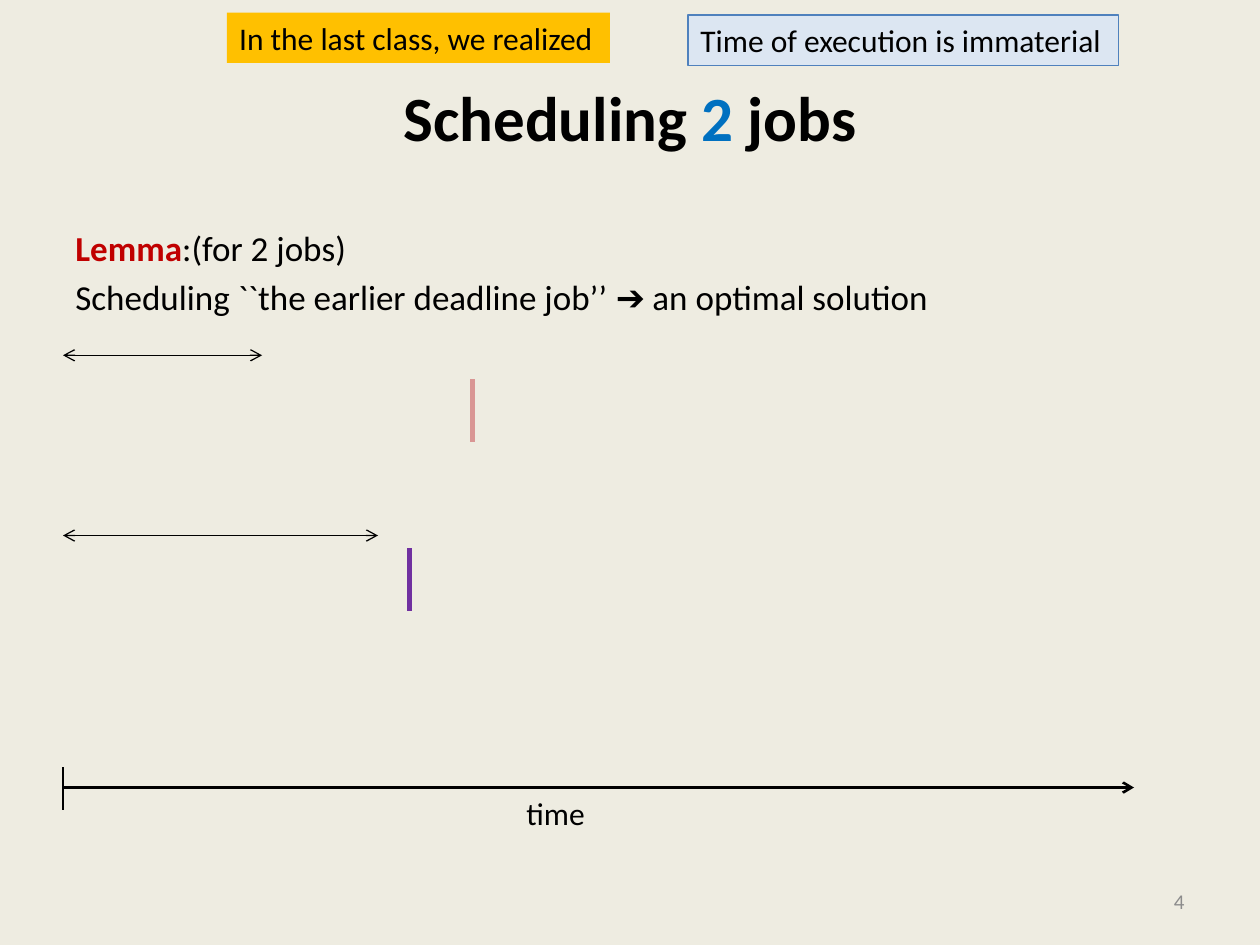
from dataclasses import dataclass
from typing import NamedTuple, Optional

from lxml import etree
from pptx import Presentation
from pptx import util as u
from pptx.dml.color import RGBColor
from pptx.enum import shapes, text
from pptx.oxml import ns

CELL = 0.25  # inches; the slide is a grid of 40 columns by 30 rows
COLUMNS, ROWS = 40, 30
ORIGIN = 2  # column where time starts


@dataclass(frozen=True)
class Theme:
    font: str = "Calibri"
    background: str = "EEECE1"
    ink: str = "000000"
    number: str = "0070C0"
    lemma: str = "C00000"
    muted: str = "8C8C8C"
    first_deadline: str = "D99694"
    second_deadline: str = "7030A0"
    recap_fill: str = "FFC000"
    remark_fill: str = "DCE6F2"
    remark_line: str = "4F81BD"
    title_size: float = 36
    body_size: float = 20
    label_size: float = 18
    page_size: float = 12


THEME = Theme()


class Box(NamedTuple):
    column: float
    row: float
    columns: float
    rows: float


class Run(NamedTuple):
    words: str
    color: str = THEME.ink
    bold: bool = False


class Line(NamedTuple):
    start: tuple[float, float]
    end: tuple[float, float]
    color: str = THEME.ink
    width: float = 0.75
    arrows: tuple[str, ...] = ()


class Callout(NamedTuple):
    box: Box
    words: str
    fill: str
    outline: Optional[str] = None


class Job(NamedTuple):
    row: float
    duration: float
    deadline: float
    deadline_row: float
    color: str


def grid(cells: float) -> u.Length:
    return u.Inches(cells * CELL)


def rgb(color: str) -> RGBColor:
    return RGBColor.from_string(color)


def place(shape, box: Box) -> None:
    shape.left, shape.top, shape.width, shape.height = map(grid, box)


def write(paragraph, runs: list[Run], size: float, align=text.PP_ALIGN.LEFT) -> None:
    paragraph.alignment = align
    for item in runs:
        run = paragraph.add_run()
        run.text = item.words
        run.font.name, run.font.size, run.font.bold = THEME.font, u.Pt(size), item.bold
        run.font.color.rgb = rgb(item.color)


def add_text(slide, box: Box, lines: list[list[Run]], size: float,
             align=text.PP_ALIGN.LEFT, anchor=text.MSO_ANCHOR.TOP, wrap: bool = True) -> None:
    shape = slide.shapes.add_textbox(*map(grid, box))
    frame = shape.text_frame
    frame.word_wrap, frame.vertical_anchor = wrap, anchor
    for index, runs in enumerate(lines):
        paragraph = frame.add_paragraph() if index else frame.paragraphs[0]
        if index:
            paragraph.space_before = u.Pt(size * 0.2)
        write(paragraph, runs, size, align)


def add_line(slide, line: Line) -> None:
    connector = slide.shapes.add_connector(
        shapes.MSO_CONNECTOR.STRAIGHT, *map(grid, line.start + line.end))
    connector.line.color.rgb = rgb(line.color)
    connector.line.width = u.Pt(line.width)
    for end in line.arrows:
        etree.SubElement(connector.line._get_or_add_ln(), ns.qn(f"a:{end}"), type="arrow")
    etree.SubElement(connector._element.spPr, ns.qn("a:effectLst"))


def add_callout(slide, callout: Callout) -> None:
    shape = slide.shapes.add_shape(shapes.MSO_SHAPE.RECTANGLE, *map(grid, callout.box))
    shape.shadow.inherit = False
    shape.fill.solid()
    shape.fill.fore_color.rgb = rgb(callout.fill)
    if callout.outline:
        shape.line.color.rgb = rgb(callout.outline)
        shape.line.width = u.Pt(0.75)
    else:
        shape.line.fill.background()
    frame = shape.text_frame
    frame.word_wrap, frame.vertical_anchor = False, text.MSO_ANCHOR.TOP
    write(frame.paragraphs[0], [Run(callout.words)], THEME.label_size)


def add_job(slide, job: Job) -> None:
    """Draw the job's duration and, below it, its deadline mark."""
    add_line(slide, Line((ORIGIN, job.row), (ORIGIN + job.duration, job.row),
                         arrows=("headEnd", "tailEnd")))
    deadline = ORIGIN + job.deadline
    add_line(slide, Line((deadline, job.deadline_row), (deadline, job.deadline_row + 2),
                         job.color, 3))


def add_time_axis(slide) -> None:
    row = 25
    add_line(slide, Line((ORIGIN, row), (36, row), width=1.5, arrows=("tailEnd",)))
    add_line(slide, Line((ORIGIN, row - 0.64), (ORIGIN, row + 0.72), width=1.5))
    add_text(slide, Box(16.32, row, 2.68, 1.6), [[Run("time")]], THEME.label_size, wrap=False)


def add_title(slide) -> None:
    title = slide.shapes.title
    place(title, Box(2, 1.2, 36, 5))
    title.text_frame.vertical_anchor = text.MSO_ANCHOR.MIDDLE
    runs = [Run("Scheduling ", bold=True), Run("2", THEME.number, True), Run(" jobs", bold=True)]
    write(title.text_frame.paragraphs[0], runs, THEME.title_size, text.PP_ALIGN.CENTER)


LEMMA = [
    [Run("Lemma", THEME.lemma, True), Run(":(for 2 jobs)")],
    [Run("Scheduling ``the earlier deadline job’’ ➔ an optimal solution")],
]
JOBS = [
    Job(11.28, 6.32, 13, 12.04, THEME.first_deadline),
    Job(17, 10, 11, 17.4, THEME.second_deadline),
]
CALLOUTS = [
    Callout(Box(7.2, 0.4, 12.16, 1.6), "In the last class, we realized", THEME.recap_fill),
    Callout(Box(21.84, 0.48, 13.68, 1.6), "Time of execution is immaterial",
            THEME.remark_fill, THEME.remark_line),
]


def main() -> None:
    presentation = Presentation()
    presentation.slide_width, presentation.slide_height = grid(COLUMNS), grid(ROWS)
    slide = presentation.slides.add_slide(presentation.slide_layouts.get_by_name("Title Only"))
    slide.background.fill.solid()
    slide.background.fill.fore_color.rgb = rgb(THEME.background)

    add_title(slide)
    add_text(slide, Box(2, 7, 36, 19.8), LEMMA, THEME.body_size)
    add_text(slide, Box(28.68, 27.8, 9.32, 1.6), [[Run("4", THEME.muted)]], THEME.page_size,
             text.PP_ALIGN.RIGHT, text.MSO_ANCHOR.MIDDLE)
    for job in JOBS:
        add_job(slide, job)
    add_time_axis(slide)
    for callout in CALLOUTS:
        add_callout(slide, callout)
    presentation.save("out.pptx")


if __name__ == "__main__":
    main()
